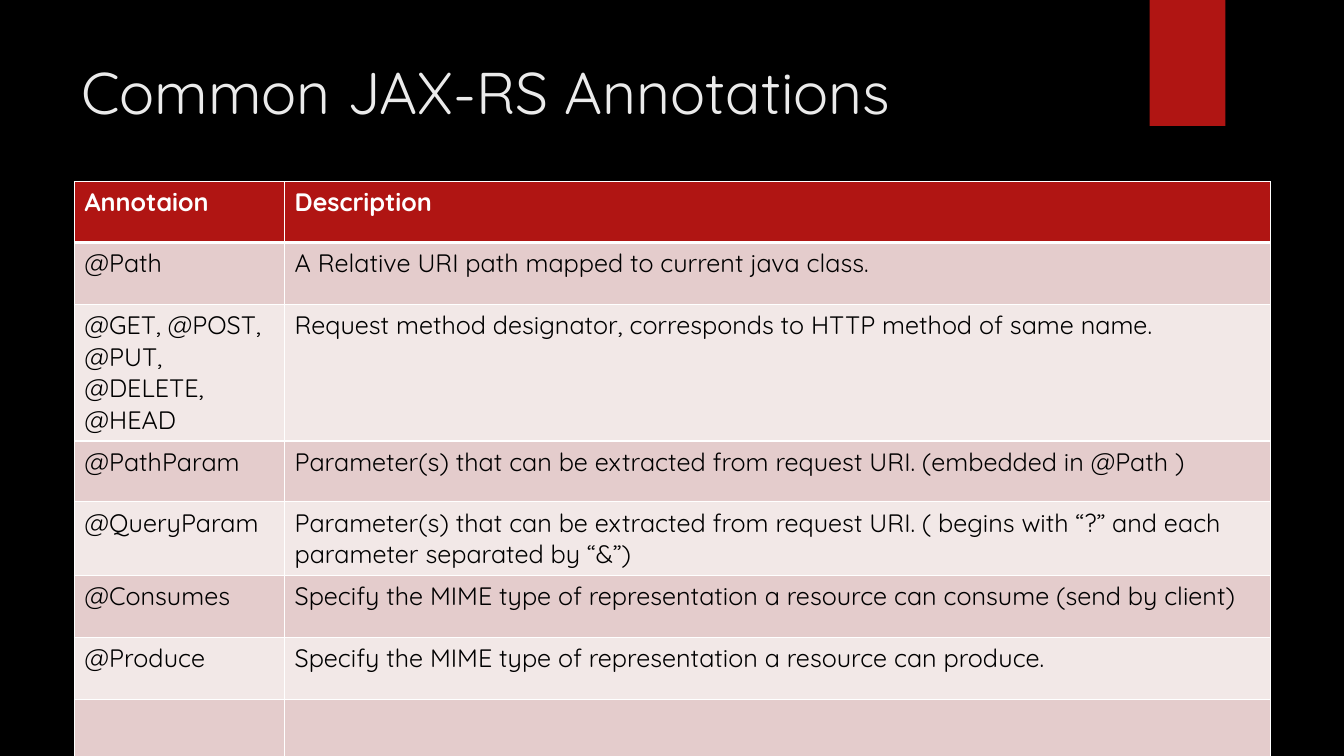
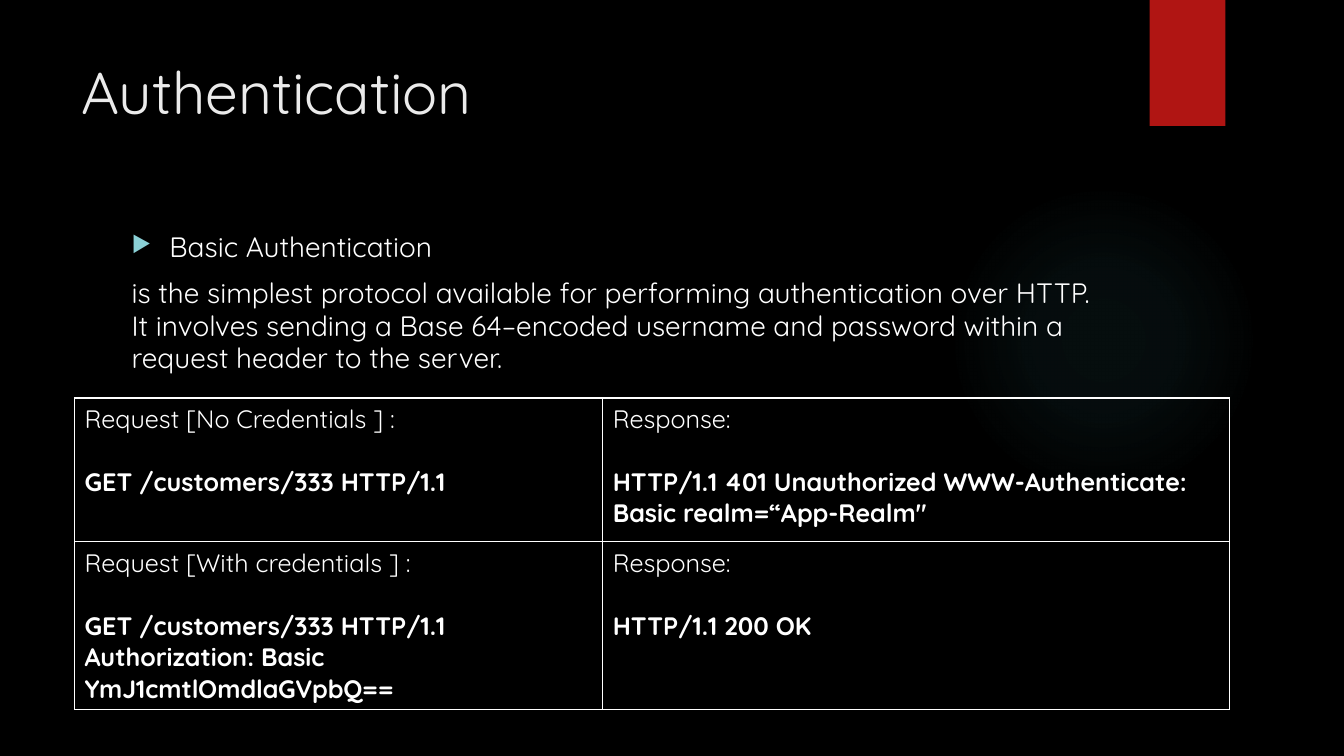
from lxml.etree import SubElement
from pptx import Presentation
from pptx.dml.color import RGBColor
from pptx.enum.shapes import MSO_SHAPE
from pptx.oxml import parse_xml
from pptx.oxml.ns import nsdecls, qn
from pptx.util import Pt

PX = 9525  # EMU per pixel on a 1280 x 720 slide
FONT = "Quicksand"
BLACK = RGBColor(0x00, 0x00, 0x00)
WHITE = RGBColor(0xFF, 0xFF, 0xFF)
TITLE_GRAY = RGBColor(0xEB, 0xEB, 0xEB)
RED = RGBColor(0xB0, 0x15, 0x13)
ROSE = RGBColor(0xE4, 0xCC, 0xCC)
PALE_ROSE = RGBColor(0xF2, 0xE8, 0xE7)
TEAL = RGBColor(0x50, 0xB9, 0xC1)
BULLET_TEAL = RGBColor(0x8A, 0xD0, 0xD6)

TITLES = ["Common JAX-RS Annotations", "Authentication"]
GLOW_STOPS = [(0, 7), (36, 6), (69, 0)]  # position and opacity in percent

ANNOTATIONS = [
    ("Annotaion", "Description"),
    ("@Path", "A Relative URI path mapped to current java class."),
    ("@GET, @POST, @PUT, @DELETE, @HEAD",
     "Request method designator, corresponds to HTTP method of same name."),
    ("@PathParam",
     "Parameter(s) that can be extracted from request URI. (embedded in @Path )"),
    ("@QueryParam",
     "Parameter(s) that can be extracted from request URI. "
     "( begins with “?” and each parameter separated by “&”)"),
    ("@Consumes",
     "Specify the MIME type of representation a resource can consume (send by client)"),
    ("@Produce", "Specify the MIME type of representation a resource can produce."),
    ("", ""),
]
ANNOTATION_HEIGHTS = [58, 59, 130, 58, 70, 59, 59, 58]

EXCHANGES = [
    [("Request [No Credentials ] :", "GET /customers/333 HTTP/1.1"),
     ("Response:",
      "HTTP/1.1 401 Unauthorized WWW-Authenticate: Basic realm=“App-Realm\"")],
    [("Request [With credentials ] :",
      "GET /customers/333 HTTP/1.1 Authorization: Basic YmJ1cmtlOmdlaGVpbQ=="),
     ("Response:", "HTTP/1.1 200 OK")],
]


def add_run(para, text, size, color, bold=False):
    span = para.add_run()
    span.text = text
    span.font.name = FONT
    span.font.size = Pt(size)
    span.font.bold = bold
    span.font.color.rgb = color


def add_plain_table(page, left, top, widths, heights, heavy_row=None):
    """Add a table with white 1 pt rules and a 3 pt rule below heavy_row."""
    frame = page.shapes.add_table(len(heights), len(widths), left * PX, top * PX,
                                  sum(widths) * PX, sum(heights) * PX)
    table = frame.table
    table.first_row = table.horz_banding = False
    for column, width in zip(table.columns, widths):
        column.width = width * PX
    for index, (row, height) in enumerate(zip(table.rows, heights)):
        row.height = height * PX
        above = 3 if heavy_row is not None and index == heavy_row + 1 else 1
        below = 3 if index == heavy_row else 1
        for cell in row.cells:
            cell.fill.background()
            properties = cell._tc.get_or_add_tcPr()
            sides = [("L", 1), ("R", 1), ("T", above), ("B", below)]
            for place, (side, points) in enumerate(sides):
                rule = parse_xml(
                    f'<a:ln{side} {nsdecls("a")} w="{Pt(points)}"><a:solidFill>'
                    f'<a:srgbClr val="{WHITE}"/></a:solidFill></a:ln{side}>')
                properties.insert(place, rule)
    return table


deck = Presentation()
deck.slide_width = 1280 * PX
deck.slide_height = 720 * PX
background = deck.slide_master.background.fill
background.solid()
background.fore_color.rgb = BLACK

# Shared frame: glow, red band and title
stops = "".join(
    f'<a:gs pos="{position * 1000}"><a:srgbClr val="{TEAL}">'
    f'<a:alpha val="{opacity * 1000}"/></a:srgbClr></a:gs>'
    for position, opacity in GLOW_STOPS)
pages = []
for title in TITLES:
    page = deck.slides.add_slide(deck.slide_layouts[6])
    pages.append(page)

    glow = page.shapes.add_shape(MSO_SHAPE.OVAL, 903 * PX, 176 * PX, 296 * PX, 296 * PX)
    glow.shadow.inherit = False
    glow.line.fill.background()
    glow.fill.background()
    properties = glow._element.spPr
    gradient = parse_xml(
        f'<a:gradFill {nsdecls("a")}><a:gsLst>{stops}</a:gsLst><a:path path="circle">'
        '<a:fillToRect l="50000" t="50000" r="50000" b="50000"/></a:path></a:gradFill>')
    properties.replace(properties.find(qn("a:noFill")), gradient)

    band = page.shapes.add_shape(MSO_SHAPE.RECTANGLE, 1095 * PX, 0, 72 * PX, 120 * PX)
    band.shadow.inherit = False
    band.line.fill.background()
    band.fill.solid()
    band.fill.fore_color.rgb = RED

    box = page.shapes.add_textbox(68 * PX, 48 * PX, 988 * PX, 147 * PX)
    box.text_frame.word_wrap = True
    add_run(box.text_frame.paragraphs[0], title, 42, TITLE_GRAY)

annotation_page, authentication_page = pages

# Annotations
table = add_plain_table(annotation_page, 71, 173, [200, 939], ANNOTATION_HEIGHTS, heavy_row=0)
for index, texts in enumerate(ANNOTATIONS):
    header = index == 0
    row_fill = RED if header else (PALE_ROSE, ROSE)[index % 2]
    for cell, text in zip(table.rows[index].cells, texts):
        cell.fill.solid()
        cell.fill.fore_color.rgb = row_fill
        if text:
            add_run(cell.text_frame.paragraphs[0], text, 18, WHITE if header else BLACK, header)

# Authentication: introduction
box = authentication_page.shapes.add_textbox(116 * PX, 216 * PX, 939 * PX, 441 * PX)
box.text_frame.word_wrap = True
bullet_para = box.text_frame.paragraphs[0]
add_run(bullet_para, "Basic Authentication", 20, WHITE)
detail_para = box.text_frame.add_paragraph()
add_run(detail_para,
        "is the simplest protocol available for performing authentication over HTTP. "
        "It involves sending a Base 64–encoded username and password within a "
        "request header to the server.", 20, WHITE)
for para in (bullet_para, detail_para):
    para.space_before = Pt(10)
    para.line_spacing = 0.96
properties = bullet_para._p.get_or_add_pPr()
properties.set("marL", str(36 * PX))
properties.set("indent", str(-36 * PX))
SubElement(SubElement(properties, qn("a:buClr")), qn("a:srgbClr"), val=str(BULLET_TEAL))
SubElement(properties, qn("a:buSzPct"), val="80000")
SubElement(properties, qn("a:buChar"), char="▶")

# Authentication: request and response pairs
table = add_plain_table(authentication_page, 71, 379, [503, 597], [137, 160])
for row, exchange in zip(table.rows, EXCHANGES):
    for cell, (label, message) in zip(row.cells, exchange):
        add_run(cell.text_frame.paragraphs[0], label, 18, WHITE)
        para = cell.text_frame.add_paragraph()
        para.space_before = Pt(22.5)
        add_run(para, message, 18, WHITE, bold=True)

deck.save("out.pptx")
